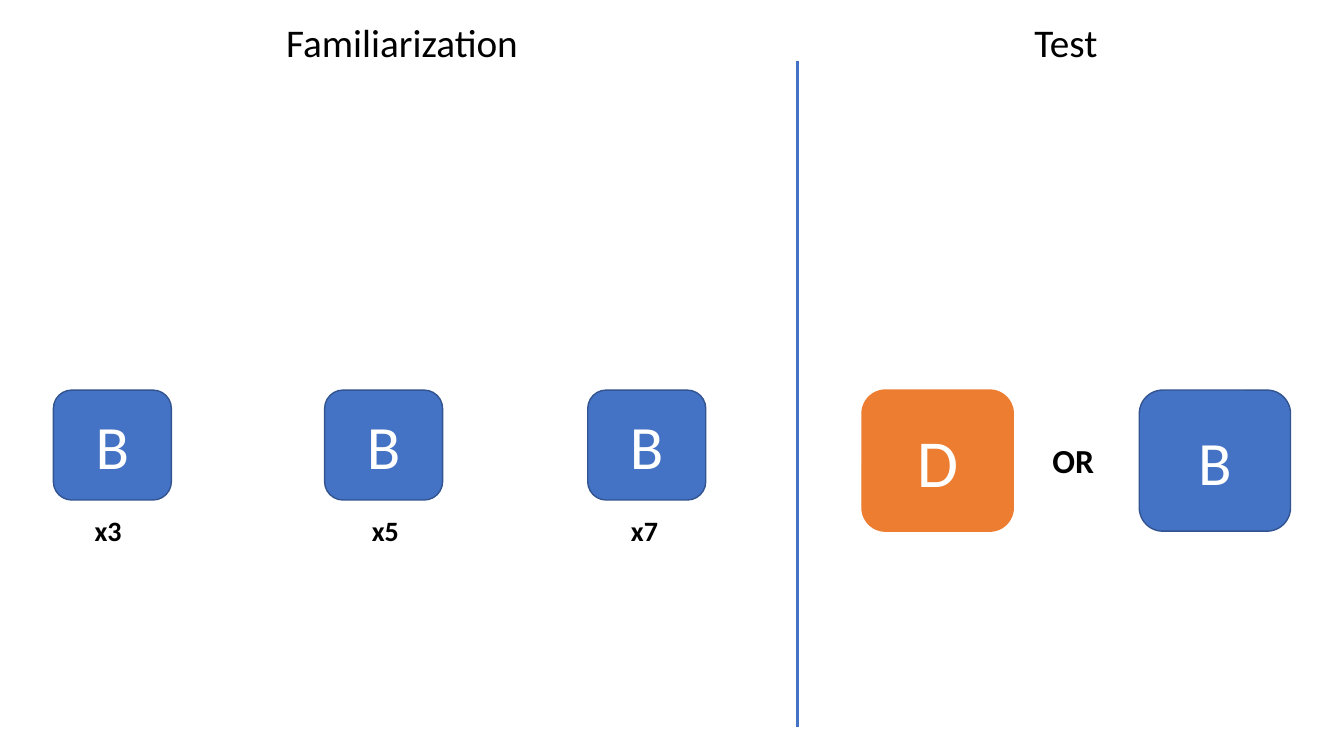
from dataclasses import dataclass

from lxml.etree import SubElement
from pptx import Presentation
from pptx.dml.color import RGBColor
from pptx.enum.shapes import MSO_CONNECTOR as Connector, MSO_SHAPE as Shape
from pptx.enum.text import MSO_ANCHOR as Anchor, PP_ALIGN as Align
from pptx.oxml.ns import qn
from pptx.util import Inches, Pt


@dataclass(frozen=True)
class Theme:
    font: str = "Calibri"
    blue: str = "4472C4"
    blue_edge: str = "325491"
    orange: str = "ED7D31"
    black: str = "000000"
    white: str = "FFFFFF"
    heading: int = 28
    choice: int = 24
    count: int = 20
    letter: int = 44
    large_letter: int = 48


THEME = Theme()
ROW_TOP = 3.87
STIMULUS_SIZE = (1.17, 1.09)
OPTION_SIZE = (1.5, 1.4)


def rgb(value):
    return RGBColor.from_string(value)


def write(frame, text, size, color, bold=False):
    frame.text = text
    font = frame.paragraphs[0].runs[0].font
    font.name = THEME.font
    font.size = Pt(size)
    font.bold = bold
    font.color.rgb = rgb(color)


def add_label(slide, text, left, top, width, height, size, bold=False):
    label = slide.shapes.add_textbox(*map(Inches, (left, top, width, height)))
    label.text_frame.word_wrap = True
    write(label.text_frame, text, size, THEME.black, bold)


def add_card(slide, letter, left, dimensions, fill=THEME.blue,
             edge=THEME.blue_edge, size=THEME.letter):
    card = slide.shapes.add_shape(
        Shape.ROUNDED_RECTANGLE, *map(Inches, (left, ROW_TOP, *dimensions)))
    card.shadow.inherit = False
    card.fill.solid()
    card.fill.fore_color.rgb = rgb(fill)
    card.line.color.rgb = rgb(edge)
    card.line.width = Pt(1)
    card.text_frame.vertical_anchor = Anchor.MIDDLE
    write(card.text_frame, letter, size, THEME.white)
    card.text_frame.paragraphs[0].alignment = Align.CENTER


def add_divider(slide, x, top, bottom):
    divider = slide.shapes.add_connector(
        Connector.STRAIGHT, *map(Inches, (x, top, x, bottom)))
    divider.line.color.rgb = rgb(THEME.blue)
    divider.line.width = Pt(2.25)
    SubElement(divider._element.spPr, qn("a:effectLst"))


def main():
    deck = Presentation()
    deck.slide_width, deck.slide_height = Inches(13.33), Inches(7.5)
    slide = deck.slides.add_slide(deck.slide_layouts[6])

    add_label(slide, "Familiarization", 2.74, 0.13, 3.68, 0.57, THEME.heading)
    add_label(slide, "Test", 10.16, 0.13, 2.52, 0.57, THEME.heading)
    add_divider(slide, 7.91, 0.61, 7.21)

    for count, card_left, count_left in (
            ("x3", 0.53, 0.84), ("x5", 3.22, 3.59), ("x7", 5.83, 6.16)):
        add_card(slide, "B", card_left, STIMULUS_SIZE)
        add_label(slide, count, count_left, 5.05, 0.86, 0.44, THEME.count, True)

    add_card(slide, "D", 8.55, OPTION_SIZE, THEME.orange, THEME.orange,
             THEME.large_letter)
    add_label(slide, "OR", 10.34, 4.32, 0.69, 0.5, THEME.choice, True)
    add_card(slide, "B", 11.3, OPTION_SIZE)

    deck.save("out.pptx")


if __name__ == "__main__":
    main()
